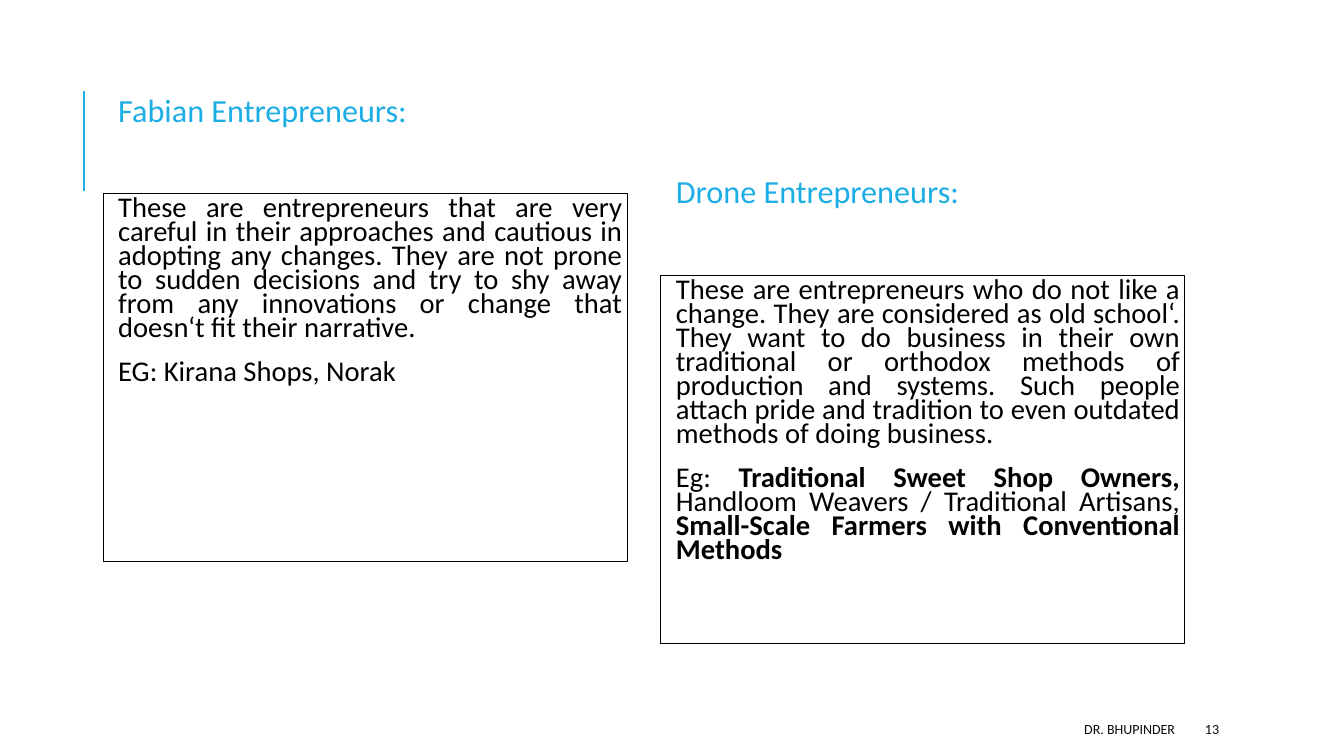
from dataclasses import dataclass

from lxml.etree import SubElement
from pptx import Presentation
from pptx.dml.color import RGBColor
from pptx.enum.shapes import MSO_CONNECTOR
from pptx.enum.text import MSO_ANCHOR as Anchor, MSO_AUTO_SIZE as AutoSize, PP_ALIGN as Align
from pptx.oxml.ns import qn
from pptx.util import Emu, Inches, Pt


@dataclass(frozen=True)
class Theme:
    font: str = "Calibri"
    accent: str = "1CADE4"
    ink: str = "000000"
    footer_ink: str = "0D0D0D"
    heading_size: float = 23
    body_size: float = 20.4
    footer_size: float = 10


@dataclass(frozen=True)
class Span:
    text: str
    bold: bool = False


@dataclass(frozen=True)
class Panel:
    column: float
    row: float
    heading_idx: int
    body_idx: int
    heading: str
    paragraphs: list[list[Span]]


@dataclass(frozen=True)
class FooterItem:
    column: float
    width: float
    text: str
    align: Align


THEME = Theme()
WIDTH, HEIGHT = Inches(13.33), Inches(7.5)
COLUMNS, ROWS = 12, 10
PANEL_WIDTH, HEADING_ROWS, BODY_ROWS = 4.68, 1.2, 4.87
BODY_OFFSET = 1.68  # rows from heading top to body top

PANELS = [
    Panel(0.92, 0.88, 1, 2, "Fabian Entrepreneurs:", [
        [Span("These are entrepreneurs that are very careful in their approaches and "
              "cautious in adopting any changes. They are not prone to sudden decisions "
              "and try to shy away from any innovations or change that doesn‘t fit "
              "their narrative.")],
        [Span("EG: Kirana Shops, Norak")],
    ]),
    Panel(5.9, 1.96, 3, 4, "Drone Entrepreneurs:", [
        [Span("These are entrepreneurs who do not like a change. They are considered as "
              "old school‘. They want to do business in their own traditional or orthodox "
              "methods of production and systems. Such people attach pride and tradition "
              "to even outdated methods of doing business.")],
        [Span("Eg: "),
         Span("Traditional Sweet Shop Owners, ", bold=True),
         Span("Handloom Weavers / Traditional Artisans, "),
         Span("Small-Scale Farmers with Conventional Methods", bold=True)],
    ]),
]
FOOTER = [
    FooterItem(4.77, 5.81, "DR. BHUPINDER", Align.RIGHT),
    FooterItem(10.67, 0.95, "13", Align.LEFT),
]


def across(columns: float) -> Emu:
    return Emu(round(WIDTH * columns / COLUMNS))


def down(rows: float) -> Emu:
    return Emu(round(HEIGHT * rows / ROWS))


def place(box, column: float, row: float, width: float, height: float) -> None:
    box.left, box.top = across(column), down(row)
    box.width, box.height = across(width), down(height)


def set_frame(box, *, anchor: Anchor, side: float, edge: float = 0.05):
    frame = box.text_frame
    frame.word_wrap, frame.auto_size = True, AutoSize.NONE
    frame.vertical_anchor = anchor
    frame.margin_left = frame.margin_right = Inches(side)
    frame.margin_top = frame.margin_bottom = Inches(edge)
    return frame


def add_text(para, text: str, *, size: float, color: str, bold: bool = False) -> None:
    run = para.add_run()
    run.text = text
    run.font.name, run.font.size, run.font.bold = THEME.font, Pt(size), bold
    run.font.color.rgb = RGBColor.from_string(color)


def add_blank_bullet(para) -> None:
    """Give the paragraph a hanging indent with a blank bullet."""
    props = para._p.get_or_add_pPr()
    props.set("marL", str(Inches(0.1)))
    props.set("indent", str(-Inches(0.1)))
    color = SubElement(props, qn("a:buClr"))
    SubElement(color, qn("a:srgbClr"), val=THEME.accent)
    SubElement(props, qn("a:buChar"), char=" ")


def draw_panel(page, panel: Panel) -> None:
    holders = {holder.placeholder_format.idx: holder for holder in page.placeholders}

    # Heading
    heading = holders[panel.heading_idx]
    place(heading, panel.column, panel.row, PANEL_WIDTH, HEADING_ROWS)
    para = set_frame(heading, anchor=Anchor.MIDDLE, side=0.15).paragraphs[0]
    para.line_spacing, para.space_before = 0.9, Pt(0)
    add_text(para, panel.heading, size=THEME.heading_size, color=THEME.accent)

    # Outlined body
    body = holders[panel.body_idx]
    place(body, panel.column, panel.row + BODY_OFFSET, PANEL_WIDTH, BODY_ROWS)
    body.line.color.rgb = RGBColor.from_string(THEME.ink)
    body.line.width = Pt(0.75)
    frame = set_frame(body, anchor=Anchor.TOP, side=0.05)
    for index, spans in enumerate(panel.paragraphs):
        para = frame.add_paragraph() if index else frame.paragraphs[0]
        para.alignment, para.line_spacing = Align.JUSTIFY, 0.7
        para.space_before, para.space_after = Pt(12 if index else 0), Pt(2)
        add_blank_bullet(para)
        for span in spans:
            add_text(para, span.text, size=THEME.body_size, color=THEME.ink, bold=span.bold)


def draw_accent_line(page) -> None:
    line = page.shapes.add_connector(
        MSO_CONNECTOR.STRAIGHT, across(0.75), down(1.2), across(0.75), down(2.53))
    line.line.color.rgb = RGBColor.from_string(THEME.accent)
    line.line.width = Pt(1.5)
    SubElement(line._element.spPr, qn("a:effectLst"))


def draw_footer(page, item: FooterItem) -> None:
    box = page.shapes.add_textbox(
        across(item.column), down(9.44), across(item.width), down(0.4))
    para = set_frame(box, anchor=Anchor.MIDDLE, side=0.1).paragraphs[0]
    para.alignment = item.align
    add_text(para, item.text, size=THEME.footer_size, color=THEME.footer_ink)


def main() -> None:
    deck = Presentation()
    deck.slide_width, deck.slide_height = WIDTH, HEIGHT
    page = deck.slides.add_slide(deck.slide_layouts.get_by_name("Comparison"))

    # The two headings stand in for a slide title
    title = page.shapes.title._element
    title.getparent().remove(title)

    draw_accent_line(page)
    for panel in PANELS:
        draw_panel(page, panel)
    for item in FOOTER:
        draw_footer(page, item)
    deck.save("out.pptx")


if __name__ == "__main__":
    main()
